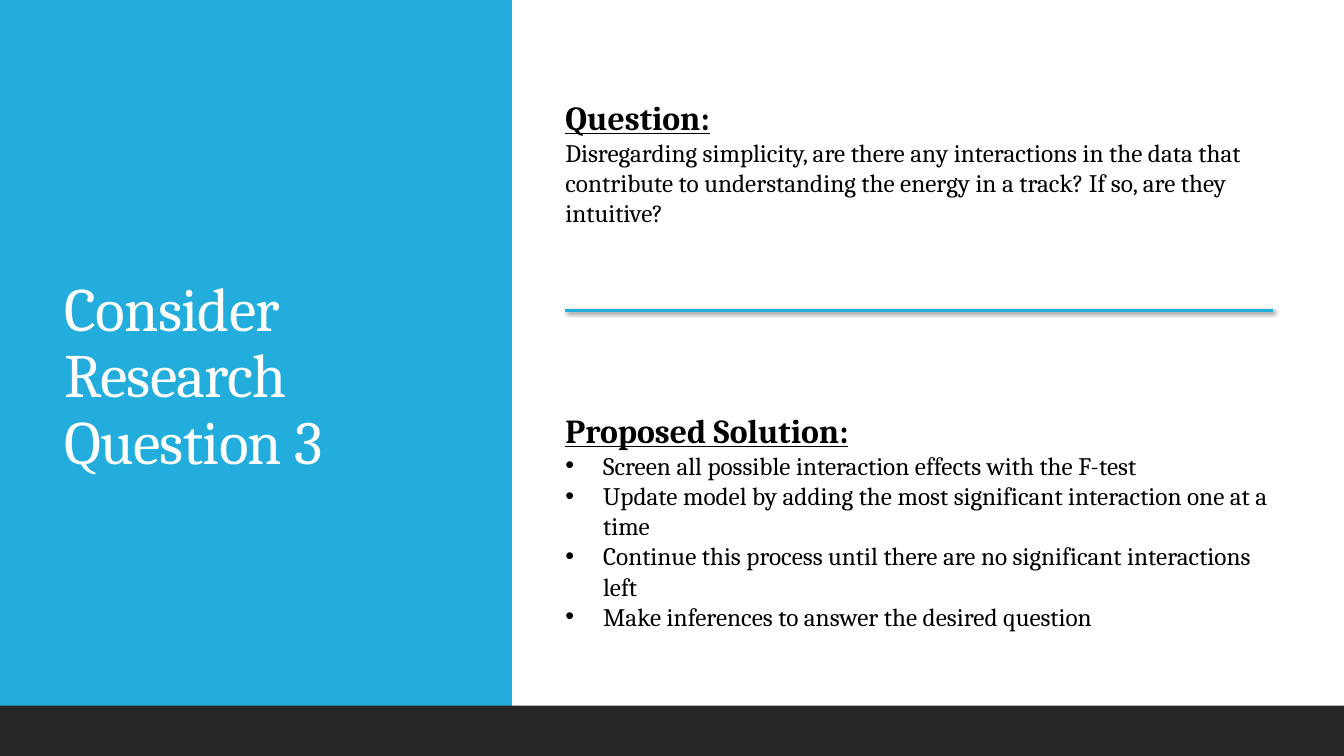
"""Build the slide that presents research question 3 and its proposed solution."""
from lxml import etree
from pptx import Presentation
from pptx.dml.color import RGBColor
from pptx.enum.shapes import MSO_CONNECTOR, MSO_SHAPE
from pptx.enum.text import MSO_ANCHOR
from pptx.oxml import parse_xml
from pptx.oxml.ns import qn
from pptx.util import Cm, Pt

TITLE = "Consider Research Question 3"
QUESTION = (
    "Disregarding simplicity, are there any interactions in the data that "
    "contribute to understanding the energy in a track? If so, are they intuitive?"
)
SOLUTION_STEPS = [
    "Screen all possible interaction effects with the F-test",
    "Update model by adding the most significant interaction one at a time",
    "Continue this process until there are no significant interactions left",
    "Make inferences to answer the desired question",
]

BLUE = RGBColor(0x23, 0xAD, 0xDC)
DARK = RGBColor(0x26, 0x26, 0x26)
WHITE = RGBColor(0xFF, 0xFF, 0xFF)
BLACK = RGBColor(0x00, 0x00, 0x00)
RECTANGLE = MSO_SHAPE.RECTANGLE
STRAIGHT = MSO_CONNECTOR.STRAIGHT
MIDDLE = MSO_ANCHOR.MIDDLE
TOP = MSO_ANCHOR.TOP

FONT = "Cambria"
SLIDE_WIDTH, SLIDE_HEIGHT = Cm(33.87), Cm(19.05)
PANEL_WIDTH = Cm(12.9)
FOOTER_HEIGHT = Cm(1.27)
BULLET_INDENT = Cm(0.95)
SECTION_GAP = Pt(130)
LINE_SHADOW = """
<a:effectLst xmlns:a="http://schemas.openxmlformats.org/drawingml/2006/main">
  <a:outerShdw blurRad="38100" dist="25400" dir="2700000" rotWithShape="0">
    <a:srgbClr val="000000"><a:alpha val="60000"/></a:srgbClr>
  </a:outerShdw>
</a:effectLst>"""


def add_panel(slide, left, top, width, height, color):
    shape = slide.shapes.add_shape(RECTANGLE, left, top, width, height)
    shape.shadow.inherit = False
    shape.fill.solid()
    shape.fill.fore_color.rgb = color
    shape.line.fill.background()


def add_text_frame(slide, left, top, width, height, anchor):
    text_frame = slide.shapes.add_textbox(left, top, width, height).text_frame
    text_frame.word_wrap = True
    text_frame.vertical_anchor = anchor
    return text_frame


def write(text_frame, text, size=18, color=BLACK, heading=False, bullet=False,
          space_before=None, line_spacing=None, tracking=None):
    paragraph = text_frame.paragraphs[0]
    if paragraph.runs:
        paragraph = text_frame.add_paragraph()
    if bullet:
        properties = paragraph._p.get_or_add_pPr()
        properties.set("marL", str(BULLET_INDENT))
        properties.set("indent", str(-BULLET_INDENT))
        etree.SubElement(properties, qn("a:buFont"), typeface="Arial")
        etree.SubElement(properties, qn("a:buChar"), char="•")
    paragraph.space_before = space_before
    paragraph.line_spacing = line_spacing
    run = paragraph.add_run()
    run.text = text
    run.font.name = FONT
    run.font.size = Pt(size)
    run.font.color.rgb = color
    run.font.bold = heading
    run.font.underline = heading
    if tracking is not None:
        run.font._element.set("spc", str(int(tracking * 100)))


def add_divider(slide, left, right, top):
    line = slide.shapes.add_connector(STRAIGHT, left, top, right, top)
    line.line.color.rgb = BLUE
    line.line.width = Pt(2)
    line._element.spPr.append(parse_xml(LINE_SHADOW))


def main():
    presentation = Presentation()
    presentation.slide_width, presentation.slide_height = SLIDE_WIDTH, SLIDE_HEIGHT
    slide = presentation.slides.add_slide(presentation.slide_layouts[6])

    add_panel(slide, 0, 0, PANEL_WIDTH, SLIDE_HEIGHT, BLUE)
    title = add_text_frame(slide, Cm(1.37), Cm(1.68), Cm(10.11), Cm(15.67), MIDDLE)
    write(title, TITLE, size=44, color=WHITE, line_spacing=0.9, tracking=-0.5)
    add_panel(slide, 0, SLIDE_HEIGHT - FOOTER_HEIGHT, SLIDE_WIDTH, FOOTER_HEIGHT, DARK)

    body = add_text_frame(slide, Cm(14), Cm(2.31), Cm(18.75), Cm(13.84), TOP)
    write(body, "Question:", size=24, heading=True)
    write(body, QUESTION)
    write(body, "Proposed Solution:", size=24, heading=True, space_before=SECTION_GAP)
    for step in SOLUTION_STEPS:
        write(body, step, bullet=True)

    add_divider(slide, Cm(14.25), Cm(32.08), Cm(7.82))
    presentation.save("out.pptx")


if __name__ == "__main__":
    main()
